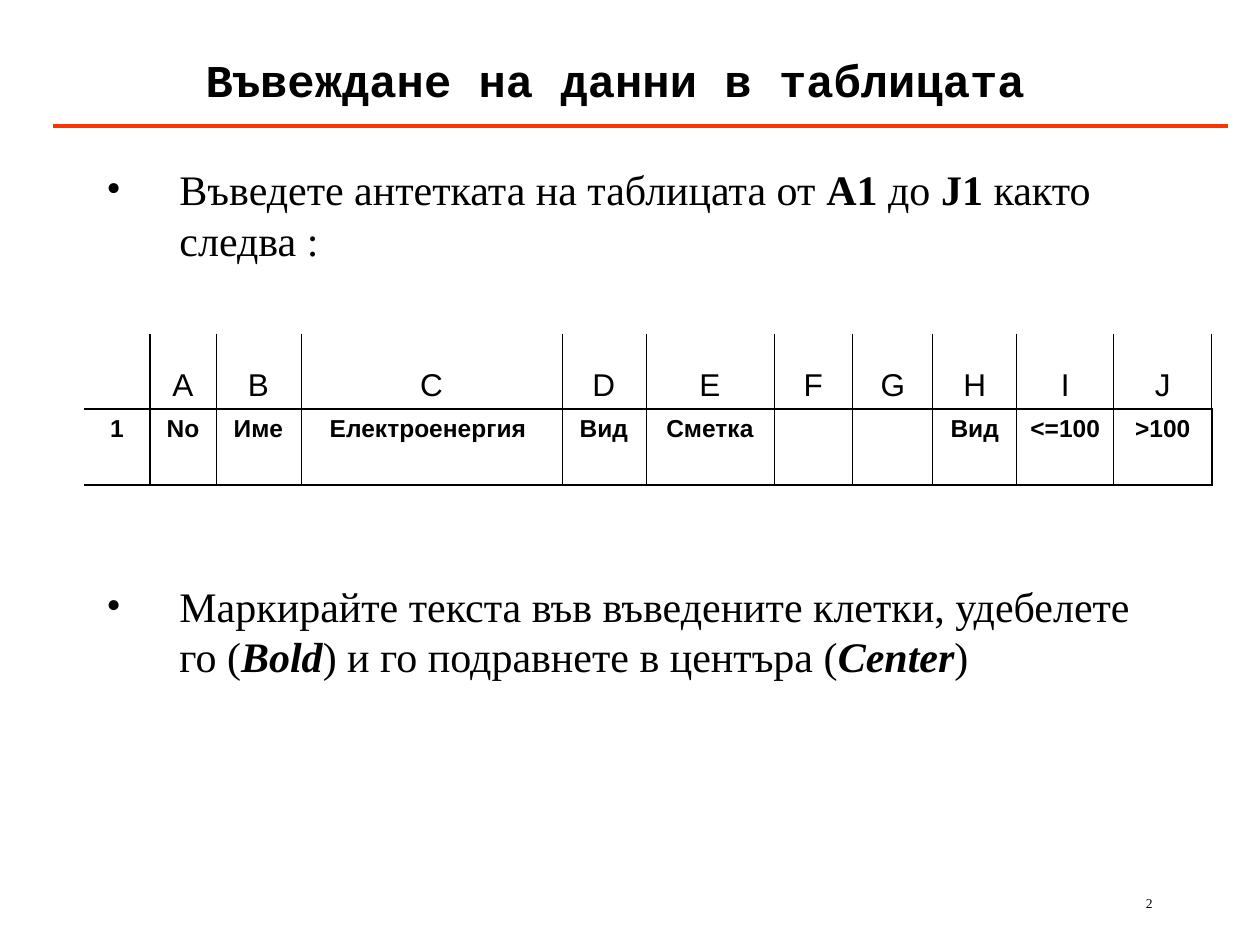
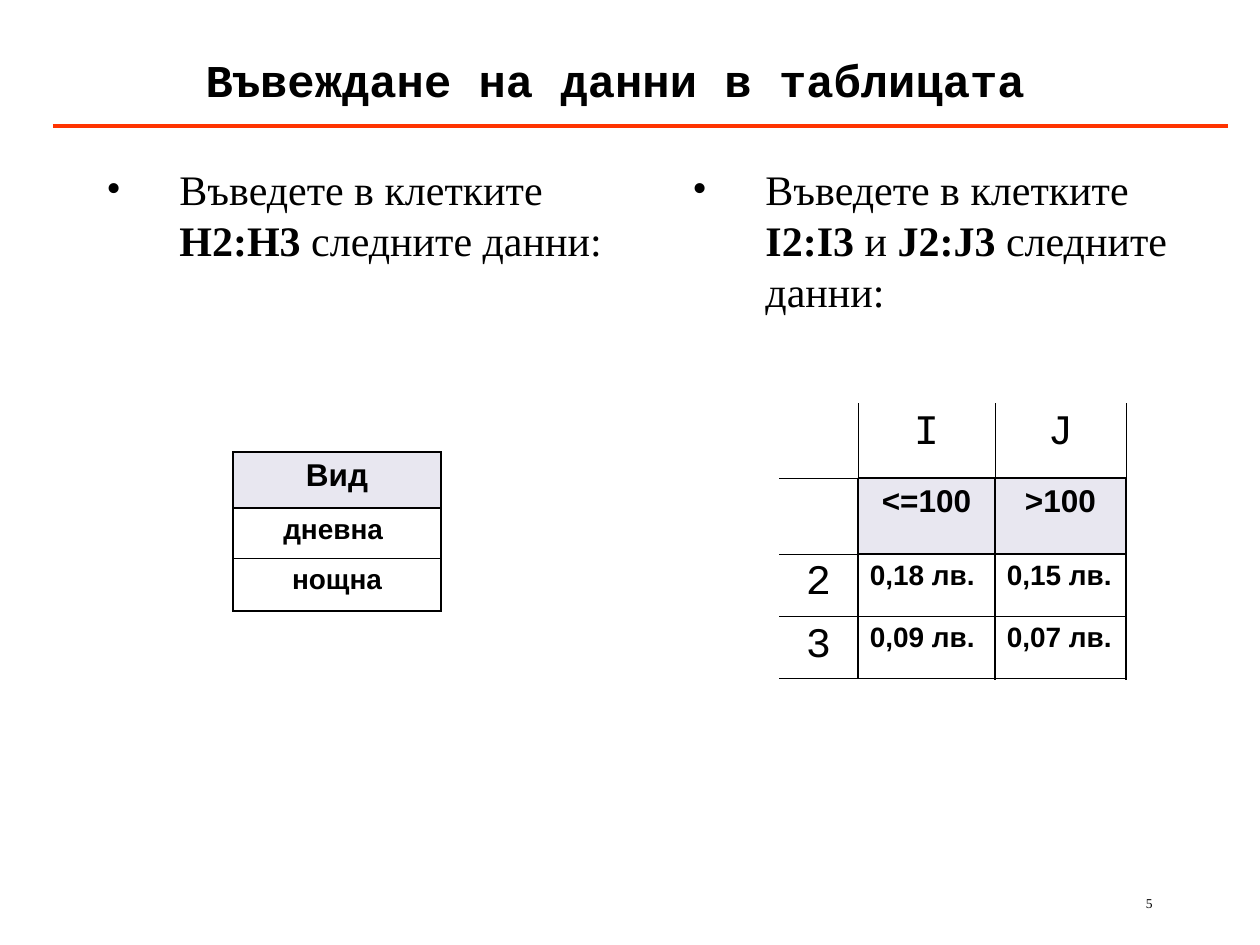
from dataclasses import dataclass
from typing import NamedTuple, Optional

from lxml.etree import SubElement
from pptx import Presentation
from pptx.dml.color import RGBColor
from pptx.enum.shapes import MSO_CONNECTOR
from pptx.enum.text import MSO_ANCHOR, PP_ALIGN
from pptx.oxml import parse_xml
from pptx.oxml.ns import nsdecls, qn
from pptx.util import Emu, Pt

SCALE = 914400 / 126
HUES = {"ink": "000000", "rule": "FF3300", "head": "D2D1E3"}
TITLE = "Въвеждане на данни в таблицата "
SERIF, SANS, MONO = "Times New Roman", "Arial", "Courier New"
WIDTHS = {"t": 0.45, "b": 1.08}
HANG = 73


class Box(NamedTuple):
    left: int
    top: int
    width: int
    height: int


class Style(NamedTuple):
    font: str
    size: float
    bold: bool = False
    align: PP_ALIGN = PP_ALIGN.CENTER
    anchor: MSO_ANCHOR = MSO_ANCHOR.TOP
    fill: Optional[str] = None


class Run(NamedTuple):
    text: str
    bold: bool = False
    slant: bool = False


@dataclass
class Row:
    height: int
    cells: list[str]
    lead: Style
    style: Style
    verts: str


@dataclass
class Grid:
    left: int
    top: int
    cols: list[int]
    rows: list[Row]
    bars: list[str]
    inset: int = 12


@dataclass
class Block:
    box: Box
    items: list[list[Run]]
    gap: int = 0


@dataclass
class Page:
    number: int
    blocks: list[Block]
    grids: list[Grid]


TITLE_STYLE = Style(MONO, 26, True, anchor=MSO_ANCHOR.MIDDLE)
BODY = Style(SERIF, 24, align=PP_ALIGN.LEFT)
FOOT = Style(SERIF, 7.7, align=PP_ALIGN.RIGHT)
LETTER = Style(SANS, 18, anchor=MSO_ANCHOR.BOTTOM)
LABEL = Style(SANS, 14, True)
AXIS = Style(MONO, 24)
HEAD = Style(SANS, 18, True, fill="head")
KIND = Style(SANS, 16, True)
PRICE = Style(SANS, 16, True, PP_ALIGN.LEFT)

PAGES = [
    Page(
        2,
        [Block(Box(94, 157, 1092, 703), [
            [Run("Въведете антетката на таблицата от "), Run("А1", True),
             Run(" до "), Run("J1", True), Run(" както следва :")],
            [Run("Маркирайте текста във въведените клетки, удебелете го ("),
             Run("Bold", True, True), Run(") и го подравнете в центъра ("),
             Run("Center", True, True), Run(")")],
        ], gap=180)],
        [Grid(84, 334, [66, 66, 85, 261, 84, 128, 79, 80, 84, 97, 98], [
            Row(75, ["", *"ABCDEFGHIJ"], LETTER, LETTER, "-b" + "t" * 10),
            Row(76, ["1", "No", "Име", "Електроенергия ", "Вид", "Сметка",
                     "", "", "Вид", "<=100", ">100"],
                LABEL, LABEL, "-b" + "t" * 9 + "b"),
        ], ["-" * 11, "b" * 11, "b" * 11])],
    ),
    Page(
        5,
        [
            Block(Box(94, 157, 546, 703), [
                [Run("Въведете в клетките "), Run("H2:H3 ", True),
                 Run("следните данни:")]]),
            Block(Box(680, 157, 525, 215), [
                [Run("Въведете в клетките "), Run("I2:I3 ", True), Run("и "),
                 Run("J2:J3 ", True), Run("следните данни:")]]),
        ],
        [
            Grid(233, 452, [208], [
                Row(56, ["Вид"], HEAD, HEAD, "bb"),
                Row(50, ["дневна "], KIND, KIND, "bb"),
                Row(53, ["нощна"], KIND, KIND, "bb"),
            ], ["b", "b", "t", "b"], inset=2),
            Grid(779, 403, [79, 137, 131], [
                Row(75, ["", "I", "J"], AXIS, AXIS, "-ttt"),
                Row(76, ["", "<=100", ">100"], AXIS, HEAD, "-bbb"),
                Row(60, ["2", "0,18 лв.", "0,15 лв."], AXIS, PRICE, "-bbb"),
                Row(60, ["3", "0,09 лв.", "0,07 лв."], AXIS, PRICE, "-bbb"),
            ], ["---", "tbb", "tbb", "ttt", "tbb"]),
        ],
    ),
]


def px(count: float) -> Emu:
    return Emu(round(count * SCALE))


def hue(name: str) -> RGBColor:
    return RGBColor.from_string(HUES[name])


def dress(run, style: Style, bold: bool, slant: bool = False) -> None:
    run.font.name = style.font
    run.font.size = Pt(style.size)
    run.font.bold = bold
    run.font.italic = slant
    run.font.color.rgb = hue("ink")


def add_box(slide, box: Box, style: Style, text: str = ""):
    frame = slide.shapes.add_textbox(*map(px, box)).text_frame
    frame.word_wrap = True
    frame.vertical_anchor = style.anchor
    para = frame.paragraphs[0]
    para.alignment = style.align
    if text:
        para.text = text
        dress(para.runs[0], style, style.bold)
    return frame


def add_block(slide, block: Block) -> None:
    frame = add_box(slide, block.box, BODY)
    for index, item in enumerate(block.items):
        para = frame.add_paragraph() if index else frame.paragraphs[0]
        props = para._p.get_or_add_pPr()
        props.set("marL", str(px(HANG)))
        props.set("indent", str(-px(HANG)))
        SubElement(props, qn("a:buFont"), typeface=SERIF)
        SubElement(props, qn("a:buChar"), char="•")
        para.line_spacing = Pt(29)
        if index:
            para.space_before = Pt(block.gap)
        for part in item:
            run = para.add_run()
            run.text = part.text
            dress(run, BODY, part.bold, part.slant)


def edge(side: str, code: str):
    if code == "-":
        return parse_xml(f'<a:ln{side} {nsdecls("a")} w="0"><a:noFill/></a:ln{side}>')
    return parse_xml(
        f'<a:ln{side} {nsdecls("a")} w="{Pt(WIDTHS[code])}"><a:solidFill>'
        f'<a:srgbClr val="{HUES["ink"]}"/></a:solidFill></a:ln{side}>')


def fill_cell(cell, text: str, style: Style, inset: int, codes: str) -> None:
    cell.margin_left = cell.margin_right = px(inset)
    cell.margin_top = cell.margin_bottom = px(6)
    cell.vertical_anchor = style.anchor
    para = cell.text_frame.paragraphs[0]
    para.alignment = style.align
    if text:
        para.text = text
        dress(para.runs[0], style, style.bold)
    props = cell._tc.get_or_add_tcPr()
    if style.fill:
        cell.fill.solid()
        cell.fill.fore_color.rgb = hue(style.fill)
        SubElement(props.find(".//" + qn("a:srgbClr")), qn("a:alpha"), val="50000")
    else:
        cell.fill.background()
    for spot, (side, code) in enumerate(zip("LRTB", codes)):
        props.insert(spot, edge(side, code))


def add_grid(slide, grid: Grid) -> None:
    size = sum(grid.cols), sum(row.height for row in grid.rows)
    table = slide.shapes.add_table(
        len(grid.rows), len(grid.cols),
        *map(px, (grid.left, grid.top, *size))).table
    table.first_row = table.horz_banding = False
    for col, width in zip(table.columns, grid.cols):
        col.width = px(width)
    for r, row in enumerate(grid.rows):
        table.rows[r].height = px(row.height)
        for c, text in enumerate(row.cells):
            codes = row.verts[c:c + 2] + grid.bars[r][c] + grid.bars[r + 1][c]
            style = row.style if c else row.lead
            fill_cell(table.cell(r, c), text, style, grid.inset, codes)


def add_frame(slide, number: int) -> None:
    rule = slide.shapes.add_connector(
        MSO_CONNECTOR.STRAIGHT, *map(px, (53, 126, 1228, 126)))
    rule.line.color.rgb = hue("rule")
    rule.line.width = Pt(2.25)
    SubElement(rule._element.spPr, qn("a:effectLst"))
    add_box(slide, Box(1018, 892, 147, 32), FOOT, str(number)).paragraphs[0].line_spacing = 0.8
    add_box(slide, Box(94, 32, 1071, 94), TITLE_STYLE, TITLE)


def main() -> None:
    deck = Presentation()
    deck.slide_width, deck.slide_height = px(1260), px(945)
    for page in PAGES:
        slide = deck.slides.add_slide(deck.slide_layouts[6])
        add_frame(slide, page.number)
        for block in page.blocks:
            add_block(slide, block)
        for grid in page.grids:
            add_grid(slide, grid)
    deck.save("out.pptx")


if __name__ == "__main__":
    main()
